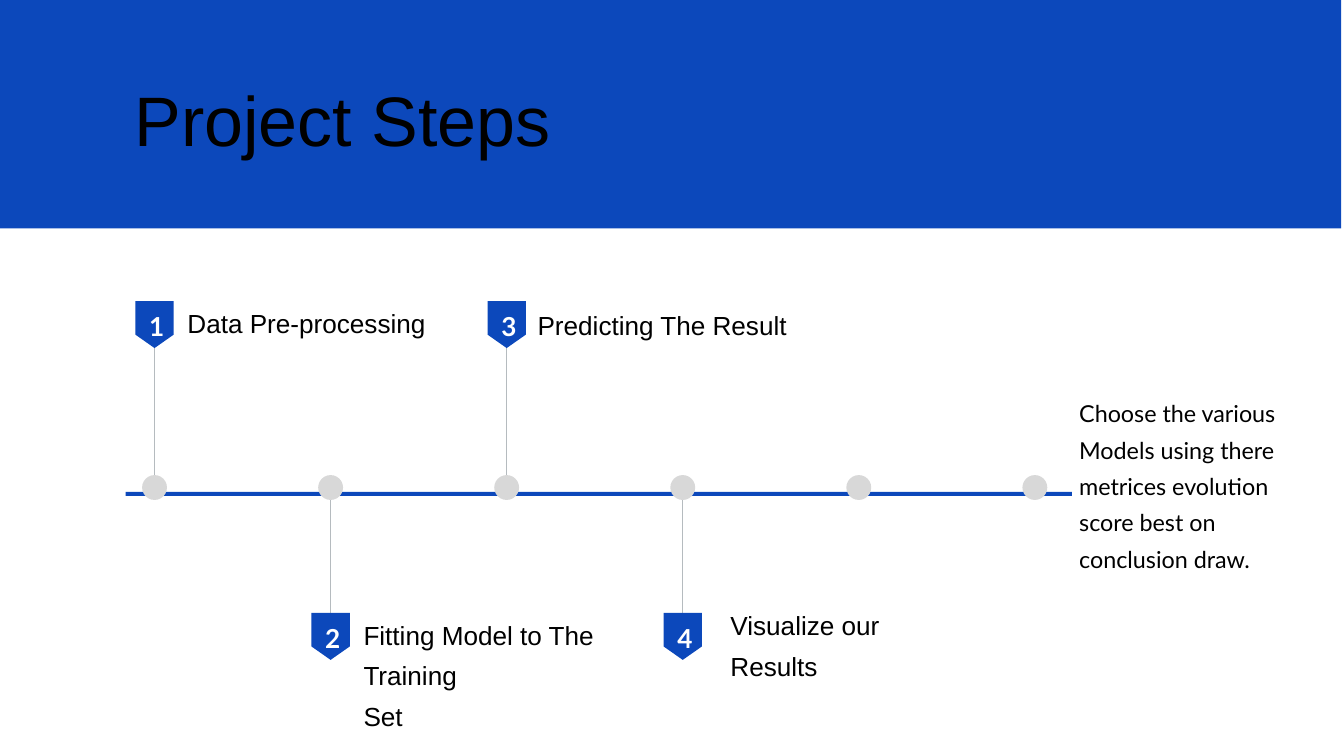
from lxml.etree import SubElement
from pptx import Presentation
from pptx.dml.color import RGBColor
from pptx.enum.shapes import MSO_CONNECTOR, MSO_SHAPE
from pptx.enum.text import MSO_ANCHOR, MSO_AUTO_SIZE, PP_ALIGN
from pptx.oxml.ns import qn
from pptx.util import Inches, Pt

TITLE = "Project Steps"
STEPS = [
    {"lines": ["Data Pre-processing"], "offset": (0.49, -0.04), "size": (3.64, 0.61)},
    {"lines": ["Fitting Model to The Training", "Set"], "offset": (0.49, -0.05), "size": (4.17, 2.14)},
    {"lines": ["Predicting The Result"], "offset": (0.46, -0.02), "size": (4.14, 0.61)},
    {"lines": ["Visualize our Results"], "offset": (0.71, -0.19), "size": (3.16, 1.23)},
]
CONCLUSION = "Choose the various Models using there metrices evolution score best on conclusion draw."

BLUE, GREY, RULE, BLACK, WHITE = "0C48BB", "D8D8D8", "B5BBBF", "000000", "FFFFFF"
HEADING = {"name": "Arial", "size": Pt(75), "bold": False}
LABEL = {"name": "Arial", "size": Pt(28), "bold": False}
NUMBER = {"name": "Lato", "size": Pt(28), "bold": True}
NOTE = {"name": "Lato", "size": Pt(25), "bold": False}
FRAME = {
    "margin_left": 0, "margin_top": 0, "margin_right": 0, "margin_bottom": 0,
    "word_wrap": True, "auto_size": MSO_AUTO_SIZE.NONE, "vertical_anchor": MSO_ANCHOR.TOP,
}

WIDTH, HEIGHT = 20, 11.25
FIRST_COLUMN, COLUMN_GAP, COLUMNS = 2.3, 2.62, 6
DOT, DOT_TOP = 0.37, 7.07
BADGE_WIDTH, BADGE_SIDE, BADGE_HEIGHT = 0.57, 0.5, 0.7
UPPER = {"badge": 4.48, "stem": (5.17, 7.21)}
LOWER = {"badge": 9.12, "stem": (7.28, 9.32)}


def color(value):
    return RGBColor.from_string(value)


def apply(target, values):
    for name, value in values.items():
        setattr(target, name, value)


def paint(shape, fill):
    shape.shadow.inherit = False
    shape.fill.solid()
    shape.fill.fore_color.rgb = color(fill)
    shape.line.fill.background()
    return shape


def add_shape(page, kind, area, fill):
    return paint(page.shapes.add_shape(kind, *map(Inches, area)), fill)


def write(box, lines, font, fill, spacing):
    frame = box.text_frame
    apply(frame, FRAME)
    for index, line in enumerate(lines):
        para = frame.paragraphs[0] if index == 0 else frame.add_paragraph()
        apply(para, {"line_spacing": spacing, "alignment": PP_ALIGN.LEFT})
        span = para.add_run()
        span.text = line
        apply(span.font, font)
        span.font.color.rgb = color(fill)


def add_text(page, area, lines, font, fill=BLACK):
    write(page.shapes.add_textbox(*map(Inches, area)), lines, font, fill, 1.3)


def add_header(page):
    band = add_shape(page, MSO_SHAPE.RECTANGLE, (-0.04, -0.02, WIDTH, 3.42), BLUE)
    page.shapes._spTree.insert(2, band._element)
    title = page.shapes.title
    area = map(Inches, (2, 0.89, 10.87, 1.51))
    apply(title, dict(zip(("left", "top", "width", "height"), area)))
    write(title, [TITLE], HEADING, BLACK, 1.2)


def add_stem(page, center, start, end):
    stem = page.shapes.add_connector(
        MSO_CONNECTOR.STRAIGHT, *map(Inches, (center, start, center, end)))
    stem.line.color.rgb = color(RULE)
    stem.line.width = Pt(1)
    SubElement(stem._element.spPr, qn("a:effectLst"))


def add_badge(page, center, top):
    left, right = center - BADGE_WIDTH / 2, center + BADGE_WIDTH / 2
    outline = [(left, top), (left, top + BADGE_SIDE), (center, top + BADGE_HEIGHT),
               (right, top + BADGE_SIDE), (right, top)]
    points = [(Inches(x), Inches(y)) for x, y in outline]
    builder = page.shapes.build_freeform(*points[0])
    builder.add_line_segments(points[1:], close=True)
    paint(builder.convert_to_shape(), BLUE)


def add_step(page, index, step):
    center = FIRST_COLUMN + index * COLUMN_GAP
    row = LOWER if index % 2 else UPPER
    top = row["badge"]
    across, down = step["offset"]
    add_stem(page, center, *row["stem"])
    add_badge(page, center, top)
    add_text(page, (center - 0.08, top, 0.23, 0.48), [str(index + 1)], NUMBER, WHITE)
    add_text(page, (center + across, top + down, *step["size"]), step["lines"], LABEL)


def main():
    deck = Presentation()
    apply(deck, {"slide_width": Inches(WIDTH), "slide_height": Inches(HEIGHT)})
    page = deck.slides.add_slide(deck.slide_layouts[5])
    add_header(page)
    add_shape(page, MSO_SHAPE.RECTANGLE, (1.87, 7.32, 14.08, 0.06), BLUE)
    for index, step in enumerate(STEPS):
        add_step(page, index, step)
    add_text(page, (16.06, 5.82, 3.16, 3.05), [CONCLUSION], NOTE)
    for column in range(COLUMNS):
        left = FIRST_COLUMN + column * COLUMN_GAP - DOT / 2
        add_shape(page, MSO_SHAPE.OVAL, (left, DOT_TOP, DOT, DOT), GREY)
    deck.save("out.pptx")


if __name__ == "__main__":
    main()
